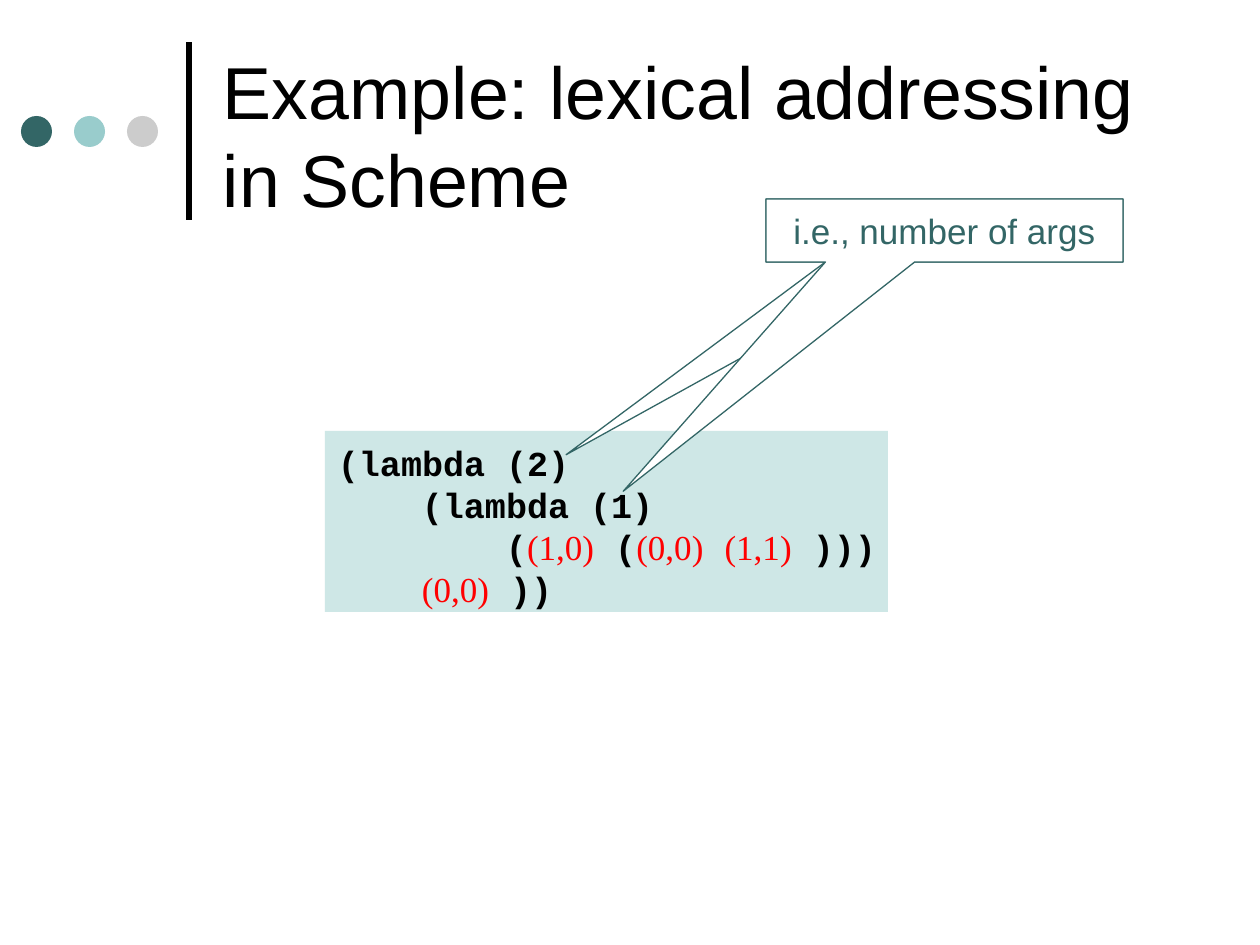
from pptx import Presentation
from pptx.dml.color import RGBColor
from pptx.enum.shapes import MSO_CONNECTOR, MSO_SHAPE
from pptx.enum.text import MSO_ANCHOR, PP_ALIGN
from pptx.oxml.ns import qn
from pptx.util import Emu, Pt
from lxml.etree import SubElement

PX = 914400 // 126
HUES = {
    "ink": "000000", "teal": "336666", "aqua": "99CCCC", "grey": "CCCCCC",
    "pale": "CEE7E6", "red": "FF0000", "white": "FFFFFF",
}
CODE = [
    (0, [("(lambda (2)", False)]),
    (1, [("(lambda (1)", False)]),
    (2, [("(", False), ("(1,0)", True), (" (", False), ("(0,0)", True),
         (" ", False), ("(1,1)", True), (" )))", False)]),
    (1, [("(0,0)", True), (" ))", False)]),
]
STEP = 84


def px(*nums):
    return [Emu(n * PX) for n in nums]


def hue(name):
    return RGBColor.from_string(HUES[name])


def add_text(para, text, size=20, font="Arial", color="ink", bold=False):
    run = para.add_run()
    run.text = text
    run.font.size = Pt(size)
    run.font.name = font
    run.font.bold = bold
    run.font.color.rgb = hue(color)


def set_frame(frame, top, anchor=MSO_ANCHOR.TOP, right=13):
    frame.word_wrap = True
    frame.vertical_anchor = anchor
    frame.margin_left, frame.margin_top, frame.margin_right, frame.margin_bottom = px(
        13, top, right, 6)


def add_shape(slide, kind, box, fill, line=None):
    shape = slide.shapes.add_shape(kind, *px(*box))
    shape.shadow.inherit = False
    shape.fill.solid()
    shape.fill.fore_color.rgb = hue(fill)
    if line:
        shape.line.color.rgb = hue(line)
        shape.line.width = Pt(0.75)
    else:
        shape.line.fill.background()
    return shape


def add_rule(slide, start, end):
    rule = slide.shapes.add_connector(MSO_CONNECTOR.STRAIGHT, *px(*start, *end))
    rule.line.color.rgb = hue("ink")
    rule.line.width = Pt(3)
    SubElement(rule._element.spPr, qn("a:effectLst"))


def add_title(slide, text):
    frame = slide.shapes.add_textbox(*px(210, 26, 966, 210)).text_frame
    set_frame(frame, 13, MSO_ANCHOR.MIDDLE)
    para = frame.paragraphs[0]
    para.line_spacing = Pt(50)
    add_text(para, text, size=42)


def add_code(slide, lines):
    frame = add_shape(slide, MSO_SHAPE.RECTANGLE, (325, 431, 563, 181), "pale").text_frame
    set_frame(frame, 10, right=0)
    for row, (depth, parts) in enumerate(lines):
        para = frame.add_paragraph() if row else frame.paragraphs[0]
        para.alignment = PP_ALIGN.LEFT
        para.line_spacing = Pt(24)
        props = para._p.get_or_add_pPr()
        props.set("marL", str(depth * STEP * PX))
        props.set("indent", "0")
        for text, address in parts:
            if address:
                add_text(para, text, font="Times New Roman", color="red")
            else:
                add_text(para, text, font="Courier New", bold=True)


def add_note(slide, text, tip):
    note = add_shape(slide, MSO_SHAPE.RECTANGULAR_CALLOUT, (766, 199, 357, 63),
                     "white", "teal")
    note.adjustments[0], note.adjustments[1] = tip
    set_frame(note.text_frame, 10)
    para = note.text_frame.paragraphs[0]
    para.alignment = PP_ALIGN.CENTER
    para.line_spacing = Pt(24)
    add_text(para, text, color="teal")


def main():
    deck = Presentation()
    deck.slide_width, deck.slide_height = px(1260, 945)
    slide = deck.slides.add_slide(deck.slide_layouts[6])
    add_rule(slide, (189, 220), (189, 42))
    for spot, color in enumerate(("teal", "aqua", "grey")):
        add_shape(slide, MSO_SHAPE.OVAL, (21 + 53 * spot, 116, 31, 31), color)
    add_title(slide, "Example: lexical addressing in Scheme")
    add_code(slide, CODE)
    for tip in ((-1.06, 3.56), (-0.9, 4.14)):
        add_note(slide, "i.e., number of args", tip)
    deck.save("out.pptx")


if __name__ == "__main__":
    main()
